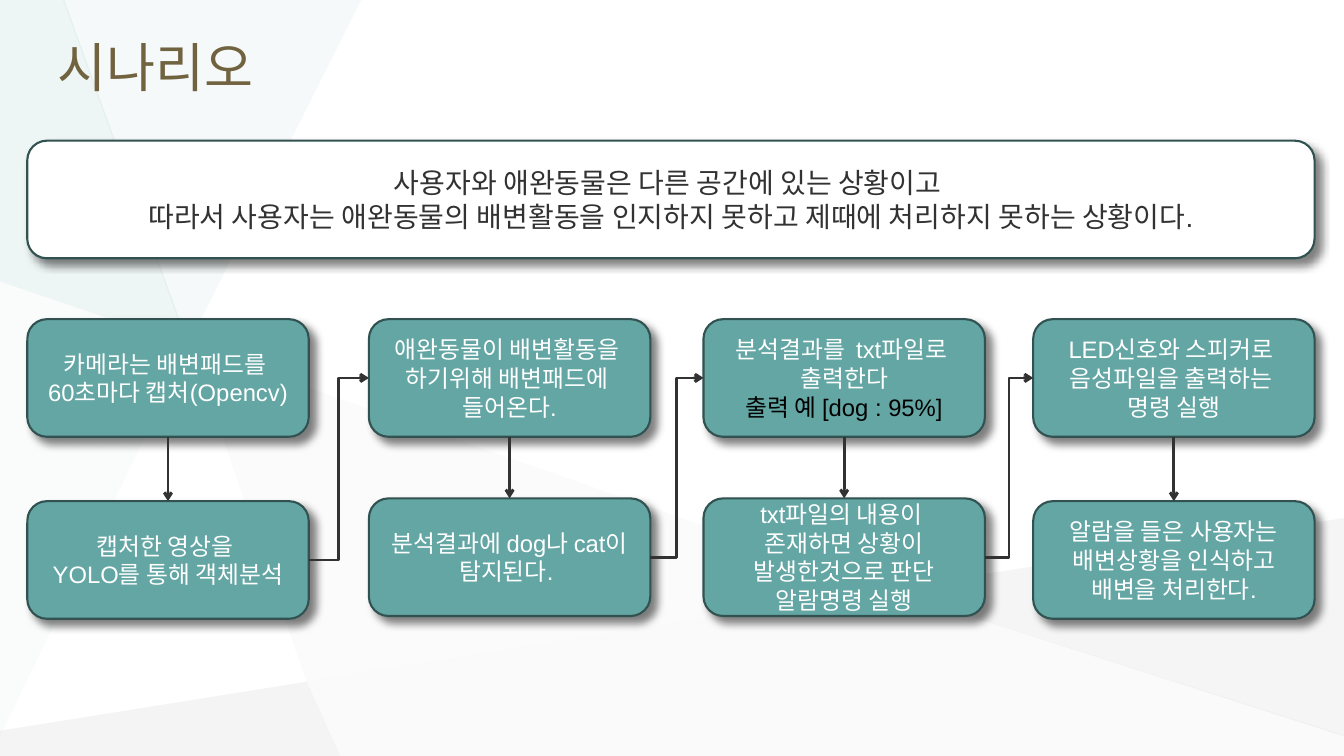
"""Build the scenario slide: a summary banner above a four-column process flow."""
from lxml import etree
from pptx import Presentation
from pptx.dml.color import RGBColor
from pptx.enum.shapes import MSO_CONNECTOR, MSO_SHAPE
from pptx.enum.text import MSO_ANCHOR, MSO_AUTO_SIZE, PP_ALIGN
from pptx.oxml.ns import qn
from pptx.util import Pt

ROUNDED = MSO_SHAPE.ROUNDED_RECTANGLE
STRAIGHT, ELBOW = MSO_CONNECTOR.STRAIGHT, MSO_CONNECTOR.ELBOW
MIDDLE = MSO_ANCHOR.MIDDLE
LEFT, CENTER = PP_ALIGN.LEFT, PP_ALIGN.CENTER
NO_FIT = MSO_AUTO_SIZE.NONE
TOP_SIDE, LEFT_SIDE, BOTTOM_SIDE, RIGHT_SIDE = range(4)

FONT = "Arial"
TEAL, DARK_TEAL, WHITE, BLACK = "63A6A4", "315251", "FFFFFF", "000000"
GRAY, BROWN = "323232", "716340"

TITLE = "시나리오"
SUMMARY = [
    "사용자와 애완동물은 다른 공간에 있는 상황이고 ",
    "따라서 사용자는 애완동물의 배변활동을 인지하지 못하고 제때에 처리하지 못하는 상황이다.",
]
EXAMPLE = "출력 예 [dog : 95%]"
COLUMNS = [
    {"left": 19.5, "lower_top": 358,
     "upper": ["카메라는 배변패드를 ", "60초마다 캡처(Opencv)"],
     "lower": ["캡처한 영상을 ", "YOLO를 통해 객체분석"]},
    {"left": 263.5, "lower_top": 356,
     "upper": ["애완동물이 배변활동을 ", "하기위해 배변패드에 ", "들어온다."],
     "lower": ["분석결과에 dog나 cat이", "탐지된다. "]},
    {"left": 502.5, "lower_top": 356,
     "upper": ["분석결과를  txt파일로 ", "출력한다", EXAMPLE],
     "lower": ["txt파일의 내용이 ", "존재하면 상황이 발생한것으로 판단 알람명령 실행"]},
    {"left": 738, "lower_top": 358,
     "upper": ["LED신호와 스피커로 ", "음성파일을 출력하는 ", "명령 실행"],
     "lower": ["알람을 들은 사용자는", "배변상황을 인식하고", "배변을 처리한다."]},
]
FACETS = [
    ("F3F2F2", 26, [(137, 248), (219, 487), (633, 421)]),
    ("B6B8BA", 15, [(219, 487), (0, 522), (0, 540), (243, 540)]),
    ("E0EDED", 31, [(258, 0), (45, 0), (134, 247)]),
    ("C6C8CA", 17, [(960, 370), (633, 421), (960, 526)]),
    ("B6B8BA", 6, [(633, 421), (219, 487), (243, 540), (960, 540), (960, 525)]),
    ("C1DBDB", 27, [(46, 0), (0, 0), (0, 201), (135, 247)]),
    ("C1DBDB", 8, [(0, 201), (0, 526), (135, 247)]),
]
BOX_WIDTH, BOX_HEIGHT = 201, 84
SUMMARY_TOP, UPPER_TOP = 100.5, 228


def color(value):
    return RGBColor.from_string(value)


def add_child(parent, tag, **attributes):
    return etree.SubElement(parent, qn(tag), attributes)


def add_facet(slide, fill, opacity, points):
    corners = [(Pt(x), Pt(y)) for x, y in points]
    builder = slide.shapes.build_freeform(*corners[0])
    builder.add_line_segments(corners[1:], close=True)
    shape = builder.convert_to_shape()
    shape.shadow.inherit = False
    shape.line.fill.background()
    shape.fill.solid()
    shape.fill.fore_color.rgb = color(fill)
    fill_color = shape.element.spPr.find(qn("a:solidFill"))[0]
    add_child(fill_color, "a:alpha", val=str(opacity * 1000))


def write_lines(frame, lines, size, text_color, alignment):
    frame.word_wrap = True
    frame.auto_size = NO_FIT
    frame.vertical_anchor = MIDDLE
    for index, line in enumerate(lines):
        paragraph = frame.add_paragraph() if index else frame.paragraphs[0]
        paragraph.alignment = alignment
        run = paragraph.add_run()
        run.text = line
        run.font.name = FONT
        run.font.size = Pt(size)
        run.font.color.rgb = color(BLACK if line == EXAMPLE else text_color)


def add_box(slide, left, top, width, lines, fill=TEAL, size=17, text_color=WHITE):
    shape = slide.shapes.add_shape(ROUNDED, Pt(left), Pt(top), Pt(width), Pt(BOX_HEIGHT))
    shape.fill.solid()
    shape.fill.fore_color.rgb = color(fill)
    shape.line.color.rgb = color(DARK_TEAL)
    shape.line.width = Pt(1.5)
    shape.shadow.inherit = False
    effects = shape.element.spPr.find(qn("a:effectLst"))
    shadow = add_child(effects, "a:outerShdw", blurRad=str(Pt(6)), dist=str(Pt(6)),
                       dir="2700000", algn="tl", rotWithShape="0")
    shadow_color = add_child(shadow, "a:srgbClr", val=BLACK)
    add_child(shadow_color, "a:alpha", val="50000")
    write_lines(shape.text_frame, lines, size, text_color, CENTER)
    return shape


def add_arrow(slide, kind, source, source_side, target, target_side):
    connector = slide.shapes.add_connector(kind, 0, 0, 0, 0)
    connector.begin_connect(source, source_side)
    connector.end_connect(target, target_side)
    connector.line.color.rgb = color(GRAY)
    connector.line.width = Pt(2)
    add_child(connector.line._get_or_add_ln(), "a:tailEnd", type="arrow")
    add_child(connector.element.spPr, "a:effectLst")


def main():
    presentation = Presentation()
    presentation.slide_width, presentation.slide_height = Pt(960), Pt(540)
    slide = presentation.slides.add_slide(presentation.slide_layouts[5])

    for facet in FACETS:
        add_facet(slide, *facet)

    title = slide.shapes.title
    title.left, title.top, title.width, title.height = Pt(34), Pt(10), Pt(890), Pt(74)
    write_lines(title.text_frame, [TITLE], 38, BROWN, LEFT)
    title.element.getparent().append(title.element)

    first_left = COLUMNS[0]["left"]
    summary_width = COLUMNS[-1]["left"] + BOX_WIDTH - first_left
    add_box(slide, first_left, SUMMARY_TOP, summary_width, SUMMARY, WHITE, 20, GRAY)

    previous_lower = None
    for column in COLUMNS:
        upper = add_box(slide, column["left"], UPPER_TOP, BOX_WIDTH, column["upper"])
        lower = add_box(slide, column["left"], column["lower_top"], BOX_WIDTH, column["lower"])
        add_arrow(slide, STRAIGHT, upper, BOTTOM_SIDE, lower, TOP_SIDE)
        if previous_lower is not None:
            add_arrow(slide, ELBOW, previous_lower, RIGHT_SIDE, upper, LEFT_SIDE)
        previous_lower = lower

    presentation.save("out.pptx")


if __name__ == "__main__":
    main()
